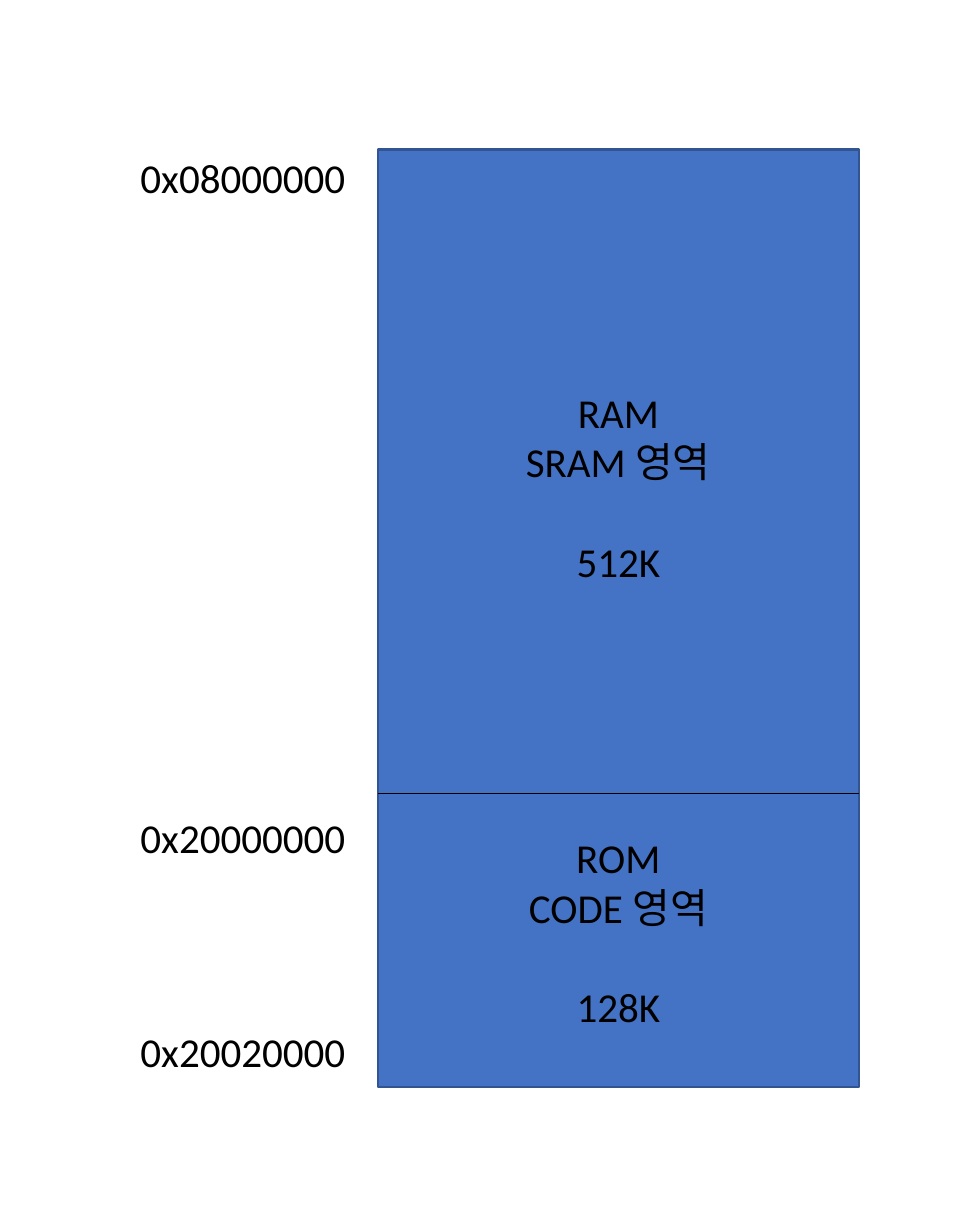
"""Draw a memory map with a RAM region, a ROM region and their addresses."""
from typing import NamedTuple

from lxml import etree
from pptx import Presentation
from pptx import util as u
from pptx.dml import color
from pptx.enum import shapes, text
from pptx.oxml import ns

COLORS = {"memory": "4472C4", "outline": "325491", "ink": "000000"}
FONT = "Calibri"
CM_PER_INCH = 2.54
SLIDE_WIDTH, SLIDE_HEIGHT = 15 / CM_PER_INCH, 7.5
MAP_LEFT, MAP_TOP, MAP_WIDTH, MAP_HEIGHT = 2.3, 0.91, 2.93, 5.71
BOUNDARY = 4.83
ADDRESS_LEFT, ADDRESS_WIDTH, ADDRESS_HEIGHT = 0.73, 1.5, 0.4
REGION_HEIGHT = 1.31


class Address(NamedTuple):
    value: str
    top: float


class Region(NamedTuple):
    name: str
    area: str
    capacity: str
    top: float


ADDRESSES = [
    Address("0x08000000", 0.88),
    Address("0x20000000", 4.9),
    Address("0x20020000", 6.2),
]
REGIONS = [
    Region("RAM", "SRAM 영역", "512K", 2.31),
    Region("ROM", "CODE 영역", "128K", 5.02),
]


def rgb(name: str) -> color.RGBColor:
    return color.RGBColor.from_string(COLORS[name])


def add_text(slide, lines: list[str], *, left: float, top: float, width: float,
             height: float, size: float = 18, ink: str = "ink",
             last_gap: float = 0) -> None:
    box = slide.shapes.add_textbox(*map(u.Inches, (left, top, width, height)))
    frame = box.text_frame
    frame.word_wrap = True
    frame.text = "\n".join(lines)
    for paragraph in frame.paragraphs:
        paragraph.alignment = text.PP_ALIGN.CENTER
        font = paragraph.runs[0].font
        font.name, font.size = FONT, u.Pt(size)
        font.color.rgb = rgb(ink)
    frame.paragraphs[-1].space_before = u.Pt(last_gap)


def add_memory(slide) -> None:
    memory = slide.shapes.add_shape(
        shapes.MSO_SHAPE.RECTANGLE,
        *map(u.Inches, (MAP_LEFT, MAP_TOP, MAP_WIDTH, MAP_HEIGHT)))
    memory.shadow.inherit = False
    memory.fill.solid()
    memory.fill.fore_color.rgb = rgb("memory")
    memory.line.color.rgb = rgb("outline")
    memory.line.width = u.Pt(1)


def add_boundary(slide) -> None:
    boundary = slide.shapes.add_connector(
        shapes.MSO_CONNECTOR.STRAIGHT,
        *map(u.Inches, (MAP_LEFT, BOUNDARY, MAP_LEFT + MAP_WIDTH, BOUNDARY)))
    boundary.line.color.rgb = rgb("ink")
    boundary.line.width = u.Pt(0.5)
    etree.SubElement(boundary._element.spPr, ns.qn("a:effectLst"))


def add_address(slide, address: Address) -> None:
    add_text(slide, [address.value], left=ADDRESS_LEFT, top=address.top,
             width=ADDRESS_WIDTH, height=ADDRESS_HEIGHT)


def add_region(slide, region: Region) -> None:
    add_text(slide, [region.name, region.area, region.capacity], left=MAP_LEFT,
             top=region.top, width=MAP_WIDTH, height=REGION_HEIGHT, last_gap=22)


def set_slide_size(presentation) -> None:
    presentation.slide_width = u.Inches(SLIDE_WIDTH)
    presentation.slide_height = u.Inches(SLIDE_HEIGHT)
    slide_size = presentation.element.find(ns.qn("p:sldSz"))
    slide_size.attrib.pop("type", None)


def main() -> None:
    presentation = Presentation()
    set_slide_size(presentation)
    slide = presentation.slides.add_slide(presentation.slide_layouts[6])
    add_memory(slide)
    for address in ADDRESSES:
        add_address(slide, address)
    for region in REGIONS:
        add_region(slide, region)
    add_boundary(slide)
    presentation.save("out.pptx")


main()
